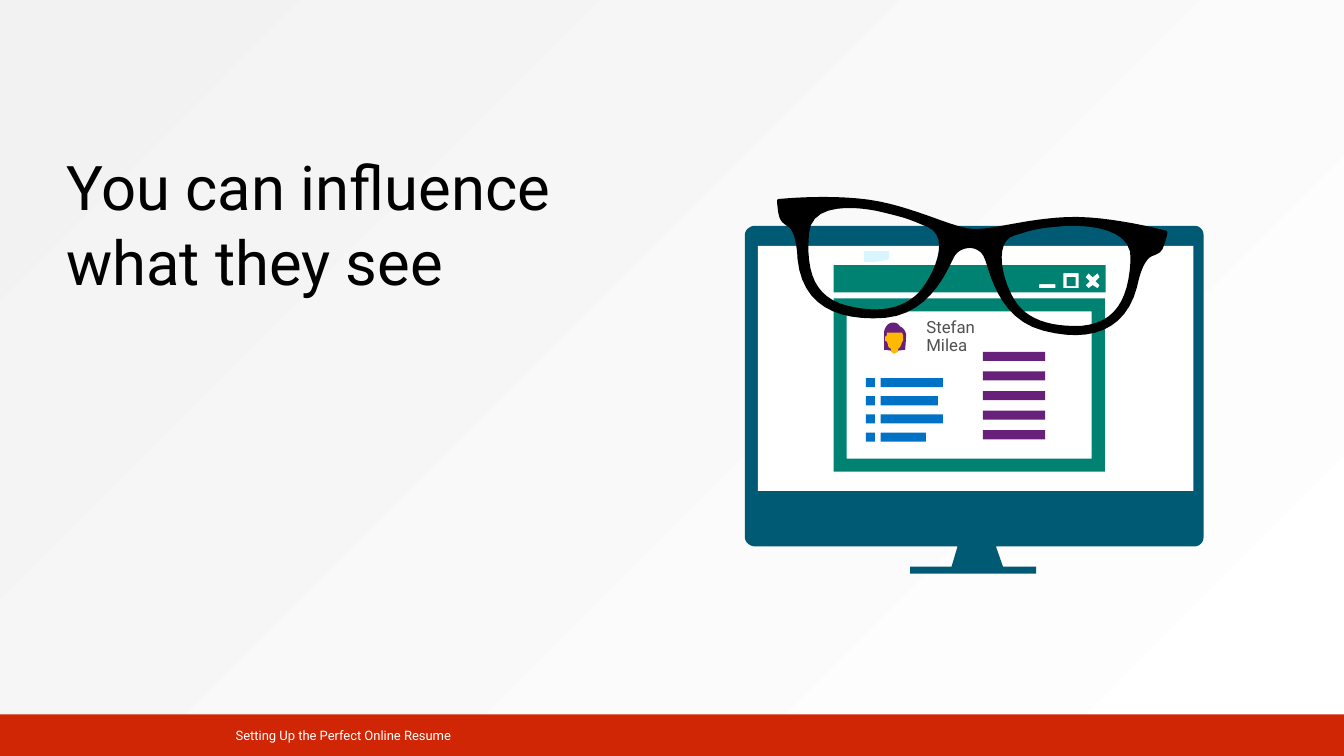
"""Build a slide with a heading beside a monitor seen through a pair of glasses."""
from lxml.etree import SubElement
from pptx import Presentation
from pptx.dml.color import RGBColor
from pptx.enum.shapes import MSO_SHAPE
from pptx.enum.text import MSO_ANCHOR
from pptx.oxml.ns import qn
from pptx.util import Pt

COLORS = {
    "white": "FFFFFF", "mist": "F2F2F2", "red": "D12605", "black": "000000",
    "petrol": "005A73", "teal": "008272", "blue": "0072C6", "purple": "68217A",
    "ice": "D8F6FF", "grey": "505050", "amber": "FFB900",
}
GRID = 0.72
CURVE_STEPS = 12

MONITOR = [[
    (1194, 233), (1194, 228, 1190, 224, 1185, 224), (749, 224),
    (744, 224, 739, 228, 739, 233), (739, 533), (739, 538, 744, 542, 749, 542),
    (950, 542), (944, 562), (903, 562), (903, 569), (1028, 569), (1028, 562),
    (995, 562), (988, 542), (1185, 542), (1190, 542, 1194, 538, 1194, 533),
]]
TITLE_BAR = [
    [(827, 263), (827, 290), (1097, 290), (1097, 263)],
    [(1047, 286), (1031, 286), (1031, 282), (1047, 282)],
    [(1070, 286), (1055, 286), (1055, 271), (1070, 271)],
    [(1091, 283), (1089, 286), (1084, 283), (1080, 286), (1077, 283), (1081, 279),
     (1077, 275), (1080, 271), (1084, 275), (1089, 271), (1091, 275), (1087, 279)],
]
WINDOW = [
    [(827, 296), (827, 468), (1096, 468), (1096, 296)],
    [(1083, 455), (840, 455), (840, 309), (1083, 309)],
]
TAB = [[(882, 249), (857, 249), (857, 260), (861, 260), (869, 260, 876, 259, 882, 257)]]
GLASSES = [
    [(1154, 218), (1154, 218, 1097, 206, 1056, 210), (1015, 214, 982, 227, 963, 227),
     (944, 227, 910, 211, 869, 205), (827, 199, 770, 208, 770, 208),
     (766, 208, 768, 212, 769, 220), (771, 227, 771, 230, 780, 235),
     (789, 240, 791, 266, 791, 266), (798, 312, 833, 326, 881, 320),
     (929, 313, 942, 262, 947, 254), (952, 246, 962, 246, 962, 246),
     (962, 246, 972, 246, 976, 255), (981, 263, 991, 315, 1039, 324),
     (1085, 333, 1120, 320, 1129, 275), (1129, 275, 1132, 249, 1142, 244),
     (1152, 240, 1152, 237, 1154, 230), (1156, 222, 1157, 218, 1154, 218)],
    [(913, 293), (898, 310, 875, 316, 843, 310), (811, 304, 800, 280, 801, 241),
     (801, 202, 870, 215, 870, 215), (897, 220, 897, 220, 919, 228),
     (942, 237, 926, 277, 913, 293)],
    [(1076, 317), (1044, 320, 1021, 313, 1009, 296), (996, 279, 983, 238, 1005, 231),
     (1027, 223, 1027, 223, 1054, 219), (1054, 219, 1123, 210, 1121, 250),
     (1121, 289, 1109, 312, 1076, 317)],
]
HAIR = [[
    (899, 333), (899, 329, 896, 325, 893, 324), (891, 321, 889, 320, 886, 320),
    (881, 320, 877, 325, 877, 331), (877, 347), (880, 347, 883, 348, 886, 348),
    (890, 348), (892, 348, 895, 347, 898, 347),
]]
FACE = [[
    (896, 333), (895, 330), (880, 330), (880, 333), (879, 333, 878, 334, 878, 335),
    (878, 338), (880, 339), (881, 342), (881, 344, 882, 345, 884, 346), (884, 349),
    (887, 351), (891, 349), (891, 346), (893, 345, 893, 344, 894, 342), (895, 339),
    (896, 338), (896, 335),
]]


def trace(contour):
    """Return the points of a contour, with its curves divided into short lines."""
    points = [contour[0]]
    for segment in contour[1:]:
        if len(segment) == 2:
            points.append(segment)
            continue
        controls = [points[-1], segment[:2], segment[2:4], segment[4:]]
        for step in range(1, CURVE_STEPS + 1):
            t = step / CURVE_STEPS
            weights = ((1 - t) ** 3, 3 * t * (1 - t) ** 2, 3 * t * t * (1 - t), t ** 3)
            points.append(tuple(
                sum(weight * control[axis] for weight, control in zip(weights, controls))
                for axis in (0, 1)))
    return [(Pt(x * GRID), Pt(y * GRID)) for x, y in points]


class Painter:
    """Hold the style and the current page, and draw elements on it."""

    def __init__(self, page, font, colors):
        """Keep the page, the font name and the colours."""
        self.page = page
        self.font = font
        self.colors = colors

    def color(self, name):
        """Return a named colour."""
        return RGBColor.from_string(self.colors[name])

    def background(self, start, end):
        """Fill the page with a gradient that spreads from the bottom right corner."""
        fill = self.page.background.fill
        fill.gradient()
        for stop, name in zip(fill.gradient_stops, (start, end)):
            stop.color.rgb = self.color(name)
        for position, stop in enumerate(fill.gradient_stops):
            stop.position = position
        gradient = self.page.element.find(".//" + qn("a:gradFill"))
        gradient.remove(gradient.find(qn("a:lin")))
        spread = SubElement(gradient, qn("a:path"), path="circle")
        SubElement(spread, qn("a:fillToRect"), l="100000", t="100000")

    def paint(self, shape, color):
        """Give a shape a plain fill without line or shadow."""
        shape.shadow.inherit = False
        shape.fill.solid()
        shape.fill.fore_color.rgb = self.color(color)
        shape.line.fill.background()

    def rectangle(self, left, top, width, height, color):
        """Draw a filled rectangle."""
        shape = self.page.shapes.add_shape(
            MSO_SHAPE.RECTANGLE, Pt(left), Pt(top), Pt(width), Pt(height))
        self.paint(shape, color)

    def outline(self, contours, color, rotation=0):
        """Draw a filled outline, where later contours are holes."""
        first, *holes = [trace(contour) for contour in contours]
        builder = self.page.shapes.build_freeform(*first[0])
        builder.add_line_segments(first[1:])
        for hole in holes:
            builder.move_to(*hole[0])
            builder.add_line_segments(hole[1:])
        shape = builder.convert_to_shape()
        shape.rotation = rotation
        self.paint(shape, color)

    def text(self, words, left, top, width, height, size, color,
             anchor=MSO_ANCHOR.TOP, spacing=1.0, inset=(7.2, 3.6)):
        """Add a wrapped text box with one paragraph."""
        box = self.page.shapes.add_textbox(Pt(left), Pt(top), Pt(width), Pt(height))
        frame = box.text_frame
        frame.word_wrap = True
        frame.vertical_anchor = anchor
        frame.margin_left = frame.margin_right = Pt(inset[0])
        frame.margin_top = frame.margin_bottom = Pt(inset[1])
        para = frame.paragraphs[0]
        para.text = words
        para.line_spacing = spacing
        para.font.name = self.font
        para.font.size = Pt(size)
        para.font.color.rgb = self.color(color)


def main():
    """Build and save the deck."""
    deck = Presentation()
    deck.slide_width, deck.slide_height = Pt(960), Pt(540)
    painter = Painter(deck.slides.add_slide(deck.slide_layouts[6]), "Roboto", COLORS)

    painter.background("white", "mist")
    painter.rectangle(0, 510.2, 960, 29.8, "red")
    painter.text("You can influence what they see", 40.3, 101.5, 440, 383, 44, "black",
                 spacing=1.02)
    painter.text("Setting Up the Perfect Online Resume", 161.3, 510.5, 352.8, 28.8, 9.3,
                 "white", anchor=MSO_ANCHOR.MIDDLE)

    painter.outline(MONITOR, "petrol")
    painter.rectangle(541.4, 175.7, 311, 175, "white")
    painter.rectangle(761.8, 198, 6.5, 6.5, "teal")
    painter.outline(TITLE_BAR, "teal")
    painter.outline(WINDOW, "teal")
    painter.outline(TAB, "ice")
    painter.outline(GLASSES, "black", rotation=3.2)

    for row, width in enumerate((44.6, 41, 44.6, 32.4)):
        top = 270 + 13 * row
        painter.rectangle(618.5, top, 6.5, 6.5, "blue")
        painter.rectangle(629, top, width, 6.5, "blue")
    for row in range(5):
        painter.rectangle(702, 251.3 + 14 * row, 44.6, 6.5, "purple")

    painter.text("Stefan\vMilea", 647.3, 216, 95, 48, 12, "grey",
                 spacing=0.9, inset=(14.4, 11.5))
    painter.outline(HAIR, "purple")
    painter.outline(FACE, "amber")
    deck.save("out.pptx")


if __name__ == "__main__":
    main()
